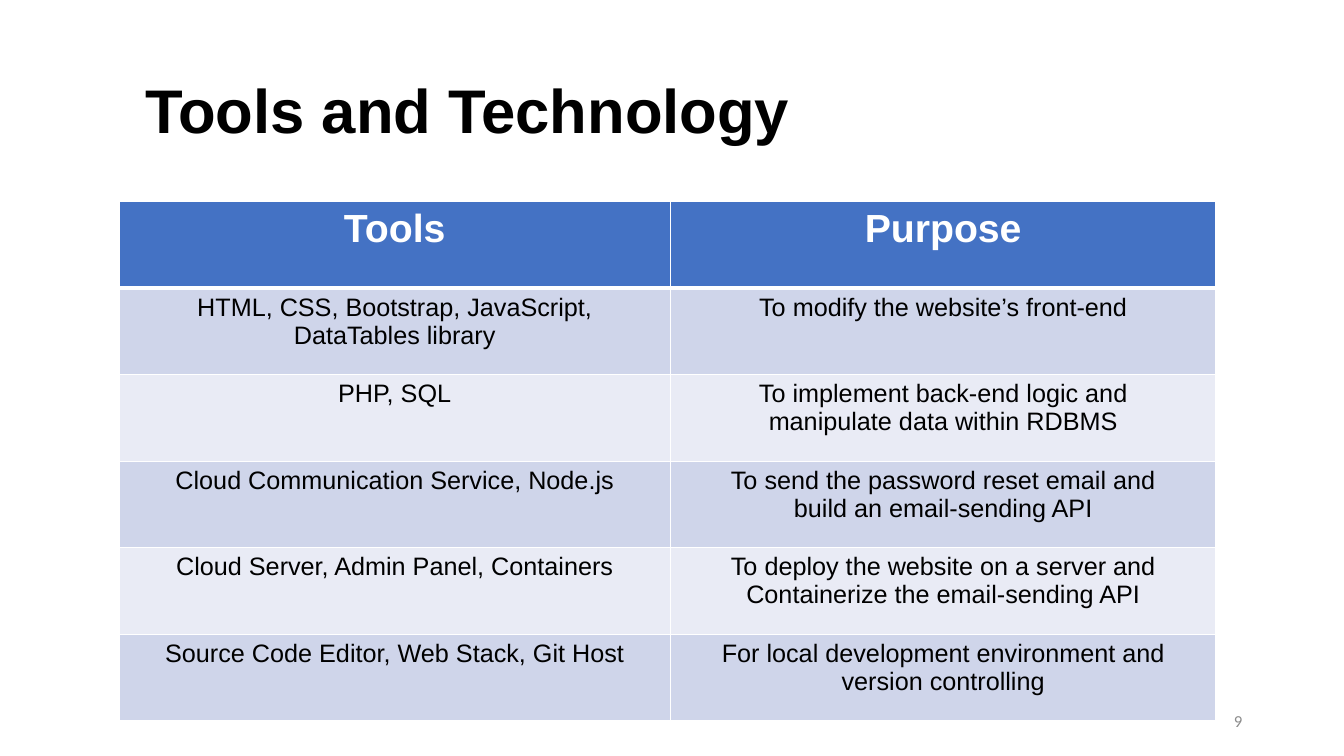
from dataclasses import dataclass
from typing import Any

from lxml.etree import SubElement
from pptx import Presentation
from pptx.dml.color import RGBColor
from pptx.enum.text import MSO_ANCHOR, PP_ALIGN
from pptx.oxml.ns import qn
from pptx.util import Inches, Length, Pt

SLIDE_WIDTH = Inches(13.33)
SLIDE_HEIGHT = Inches(7.5)
GRID_STEPS = 100

BLACK = RGBColor(0x00, 0x00, 0x00)
WHITE = RGBColor(0xFF, 0xFF, 0xFF)
GREY = RGBColor(0x8C, 0x8C, 0x8C)
BLUE = RGBColor(0x44, 0x72, 0xC4)
BANDS = (RGBColor(0xCF, 0xD5, 0xEA), RGBColor(0xE9, 0xEB, 0xF5))

THIN = Pt(1)
THICK = Pt(3)
TOOL_COLUMNS = (41.04, 40.58)
TOOL_ROW = 11.45


@dataclass(frozen=True)
class Area:
    column: float
    row: float
    columns: float
    rows: float

    def box(self) -> tuple[Length, Length, Length, Length]:
        return across(self.column), down(self.row), across(self.columns), down(self.rows)


@dataclass(frozen=True)
class TextStyle:
    font: dict[str, Any]
    color: RGBColor
    paragraph: dict[str, Any]


@dataclass(frozen=True)
class ToolEntry:
    tools: str
    purpose: str


TITLE_AREA = Area(10.05, 5.33, 83.05, 19.33)
NUMBER_AREA = Area(70.67, 92.67, 22.5, 5.33)

TITLE_STYLE = TextStyle(
    {"name": "Arial", "size": Pt(44), "bold": True},
    BLACK,
    {"alignment": PP_ALIGN.LEFT, "line_spacing": 0.9},
)
HEADING_STYLE = TextStyle(
    {"name": "Arial", "size": Pt(28), "bold": True}, WHITE, {"alignment": PP_ALIGN.CENTER}
)
ENTRY_STYLE = TextStyle(
    {"name": "Arial", "size": Pt(18), "bold": False}, BLACK, {"alignment": PP_ALIGN.CENTER}
)
NUMBER_STYLE = TextStyle(
    {"name": "Calibri", "size": Pt(12)}, GREY, {"alignment": PP_ALIGN.RIGHT}
)

HEADING = ToolEntry("Tools", "Purpose")
ENTRIES = (
    ToolEntry(
        "HTML, CSS, Bootstrap, JavaScript,\nDataTables library",
        "To modify the website’s front-end",
    ),
    ToolEntry("PHP, SQL", "To implement back-end logic and\nmanipulate data within RDBMS"),
    ToolEntry(
        "Cloud Communication Service, Node.js",
        "To send the password reset email and\nbuild an email-sending API",
    ),
    ToolEntry(
        "Cloud Server, Admin Panel, Containers",
        "To deploy the website on a server and\nContainerize the email-sending API",
    ),
    ToolEntry(
        "Source Code Editor, Web Stack, Git Host",
        "For local development environment and\nversion controlling",
    ),
)


def across(columns: float) -> Length:
    return Length(round(SLIDE_WIDTH * columns / GRID_STEPS))


def down(rows: float) -> Length:
    return Length(round(SLIDE_HEIGHT * rows / GRID_STEPS))


def apply_format(target: Any, values: dict[str, Any]) -> None:
    for attribute, value in values.items():
        setattr(target, attribute, value)


def write_text(frame: Any, text: str, style: TextStyle) -> None:
    frame.text = text
    for paragraph in frame.paragraphs:
        apply_format(paragraph, style.paragraph)
        for run in paragraph.runs:
            apply_format(run.font, style.font)
            run.font.color.rgb = style.color


def add_borders(cell: Any, widths: dict[str, Length]) -> None:
    properties = cell._tc.get_or_add_tcPr()
    for side, width in widths.items():
        border = SubElement(properties, qn(f"a:{side}"), w=str(int(width)))
        fill = SubElement(border, qn("a:solidFill"))
        SubElement(fill, qn("a:srgbClr"), val=str(WHITE))


def fill_row(table: Any, index: int, entry: ToolEntry) -> None:
    is_heading = index == 0
    style = HEADING_STYLE if is_heading else ENTRY_STYLE
    color = BLUE if is_heading else BANDS[(index - 1) % len(BANDS)]
    widths = {
        "lnL": THIN,
        "lnR": THIN,
        "lnT": THICK if index == 1 else THIN,
        "lnB": THICK if is_heading else THIN,
    }
    for cell, text in zip(table.rows[index].cells, (entry.tools, entry.purpose)):
        write_text(cell.text_frame, text, style)
        add_borders(cell, widths)
        cell.fill.solid()
        cell.fill.fore_color.rgb = color


def add_title(slide: Any) -> None:
    title = slide.shapes.title
    apply_format(title, dict(zip(("left", "top", "width", "height"), TITLE_AREA.box())))
    apply_format(title.text_frame, {"vertical_anchor": MSO_ANCHOR.MIDDLE, "word_wrap": True})
    write_text(title.text_frame, "Tools and Technology", TITLE_STYLE)


def add_tools(slide: Any) -> None:
    entries = (HEADING, *ENTRIES)
    area = Area(8.85, 26.67, sum(TOOL_COLUMNS), TOOL_ROW * len(entries))
    table = slide.shapes.add_table(len(entries), len(TOOL_COLUMNS), *area.box()).table
    for column, columns in zip(table.columns, TOOL_COLUMNS):
        column.width = across(columns)
    for index, entry in enumerate(entries):
        table.rows[index].height = down(TOOL_ROW)
        fill_row(table, index, entry)


def add_slide_number(slide: Any) -> None:
    frame = slide.shapes.add_textbox(*NUMBER_AREA.box()).text_frame
    apply_format(frame, {"vertical_anchor": MSO_ANCHOR.MIDDLE, "word_wrap": True})
    write_text(frame, "9", NUMBER_STYLE)


def main() -> None:
    presentation = Presentation()
    apply_format(presentation, {"slide_width": SLIDE_WIDTH, "slide_height": SLIDE_HEIGHT})
    slide = presentation.slides.add_slide(presentation.slide_layouts.get_by_name("Title Only"))
    add_title(slide)
    add_tools(slide)
    add_slide_number(slide)
    presentation.save("out.pptx")


if __name__ == "__main__":
    main()
